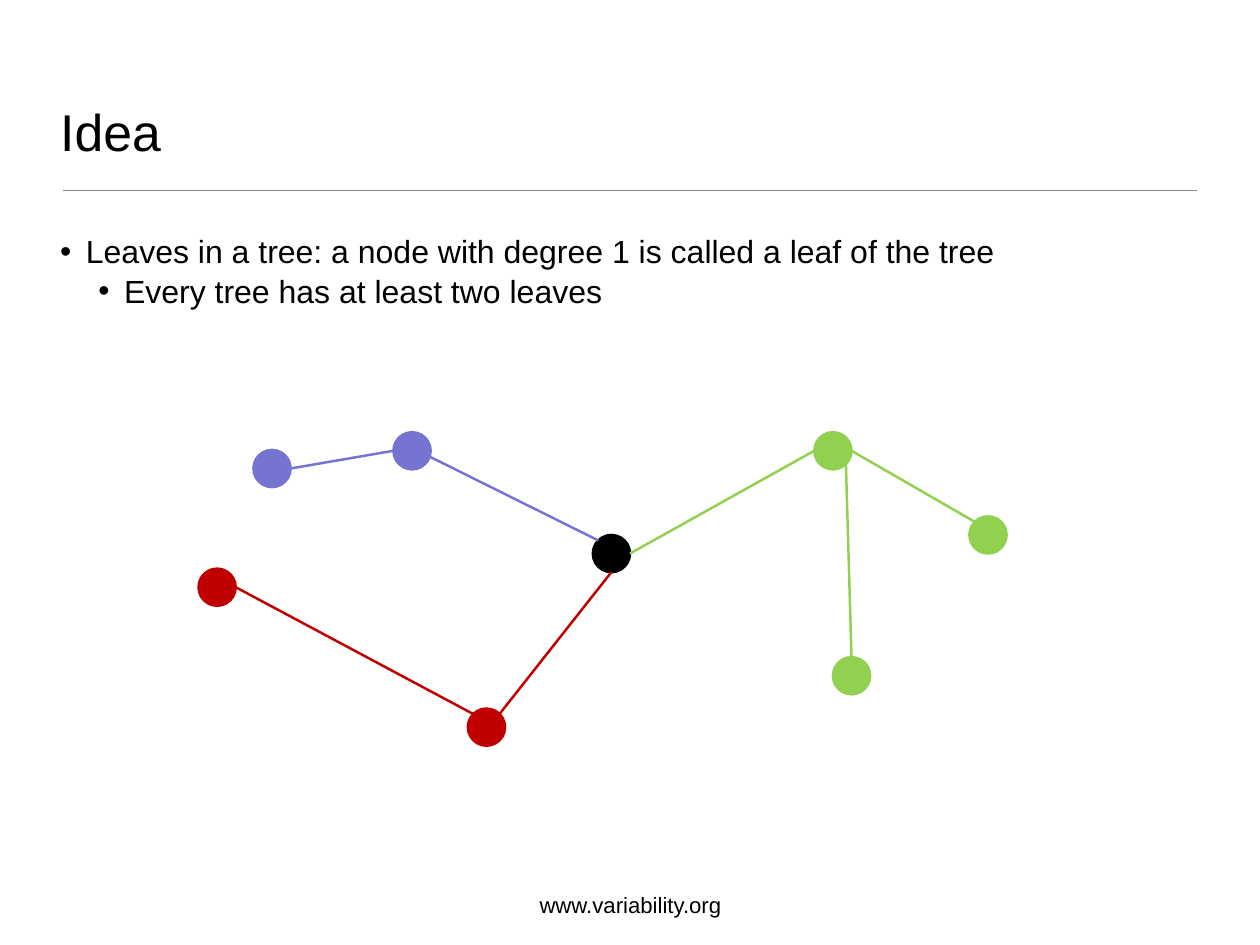
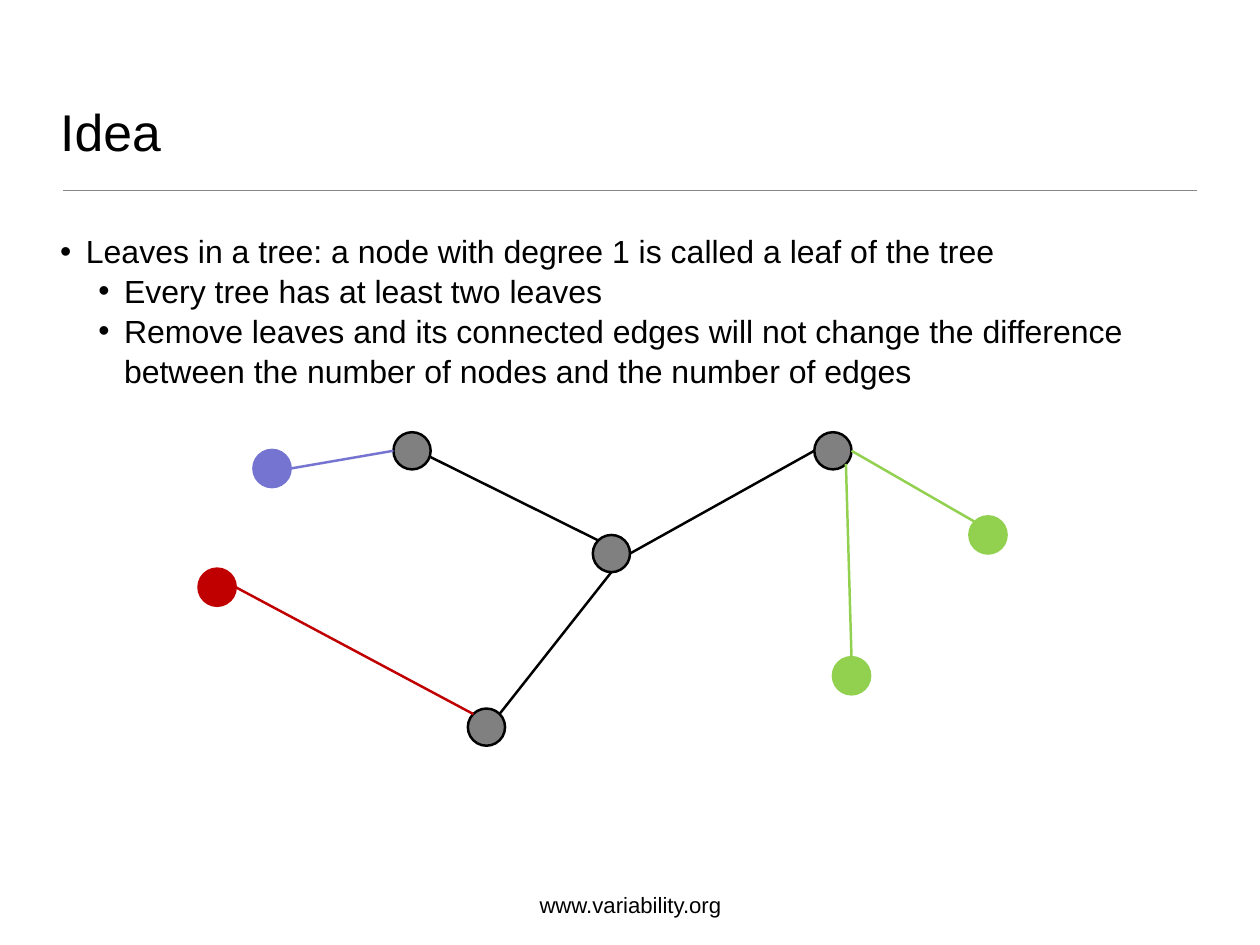
from lxml import etree
from pptx import Presentation
from pptx.dml.color import RGBColor
from pptx.enum import shapes, text
from pptx.oxml.ns import qn
from pptx.util import Inches, Pt

FONT = "Arial"
BLACK, GREY, RULE_GREY = "000000", "808080", "888888"
BLUE, RED, GREEN = "7575D1", "C00000", "92D050"

TITLE = "Idea"
FOOTER = "www.variability.org"
# (outline level, text)
POINTS = [
    (0, "Leaves in a tree: a node with degree 1 is called a leaf of the tree"),
    (1, "Every tree has at least two leaves"),
    (1, "Remove leaves and its connected edges will not change the difference "
        "between the number of nodes and the number of edges"),
]
# (number of points shown, whether only the leaves keep their colour)
SLIDES = [(2, False), (3, True)]

DIAMETER = 0.42
# node: (left, top, branch colour)
NODES = {
    "blue leaf": (2.86, 5.08, BLUE),
    "blue fork": (4.44, 4.88, BLUE),
    "red leaf": (2.24, 6.42, RED),
    "root": (6.69, 6.04, BLACK),
    "red fork": (5.28, 8.0, RED),
    "green fork": (9.19, 4.88, GREEN),
    "lower green leaf": (9.4, 7.42, GREEN),
    "right green leaf": (10.94, 5.83, GREEN),
}
# (outer node, its anchor, inner node, its anchor)
EDGES = [
    ("blue leaf", "right", "blue fork", "left"),
    ("blue fork", "lower right", "root", "top left"),
    ("red leaf", "right", "red fork", "top left"),
    ("red fork", "top right", "root", "bottom"),
    ("green fork", "left", "root", "right"),
    ("right green leaf", "top left", "green fork", "right"),
    ("lower green leaf", "top", "green fork", "bottom right"),
]
# anchors on a node's rim, as fractions of its diameter
ANCHORS = {
    "top": (0.5, 0), "bottom": (0.5, 1), "left": (0, 0.5), "right": (1, 0.5),
    "top left": (0.15, 0.15), "top right": (0.85, 0.15),
    "bottom right": (0.85, 0.85), "lower right": (1, 0.67),
}
INDENTS = [0.29, 0.72]
HANGING = 0.29


def rgb(color):
    return RGBColor.from_string(color)


def add_line(slide, start, end, color, width):
    line = slide.shapes.add_connector(
        shapes.MSO_CONNECTOR.STRAIGHT, *(Inches(v) for v in (*start, *end)))
    line.line.color.rgb = rgb(color)
    line.line.width = Pt(width)
    etree.SubElement(line._element.spPr, qn("a:effectLst"))


def add_text_frame(slide, box, inset, anchor, wrap=True):
    frame = slide.shapes.add_textbox(*(Inches(v) for v in box)).text_frame
    frame.word_wrap = wrap
    frame.vertical_anchor = anchor
    frame.margin_left = frame.margin_right = Inches(inset)
    frame.margin_top = frame.margin_bottom = Inches(inset)
    return frame


def write(paragraph, words, size):
    paragraph.text = words
    for run in paragraph.runs:
        run.font.name = FONT
        run.font.size = Pt(size)
        run.font.color.rgb = rgb(BLACK)


def add_bullet(paragraph, level):
    paragraph.level = level
    properties = paragraph._p.get_or_add_pPr()
    properties.set("marL", str(Inches(INDENTS[level])))
    properties.set("indent", str(-Inches(HANGING)))
    bullet_color = etree.SubElement(properties, qn("a:buClr"))
    etree.SubElement(bullet_color, qn("a:srgbClr"), val=BLACK)
    etree.SubElement(properties, qn("a:buFont"), typeface=FONT)
    etree.SubElement(properties, qn("a:buChar"), char="•")


def add_frame(slide):
    """Add the rule, footer and title that every slide shares."""
    add_line(slide, (0.71, 2.15), (13.51, 2.15), RULE_GREY, 1)
    footer = add_text_frame(slide, (6.06, 9.96, 2.11, 0.4), 0,
                            text.MSO_ANCHOR.BOTTOM, wrap=False)
    write(footer.paragraphs[0], FOOTER, 18)
    footer.paragraphs[0].alignment = text.PP_ALIGN.CENTER
    title = add_text_frame(slide, (0.62, 0.36, 12.97, 1.53), 0.06,
                           text.MSO_ANCHOR.BOTTOM)
    write(title.paragraphs[0], TITLE, 42)


def add_points(slide, points):
    body = add_text_frame(slide, (0.62, 2.54, 12.97, 7.18), 0.06,
                          text.MSO_ANCHOR.TOP)
    for i, (level, words) in enumerate(points):
        paragraph = body.add_paragraph() if i else body.paragraphs[0]
        add_bullet(paragraph, level)
        paragraph.line_spacing = 1.04
        write(paragraph, words, 26)


def is_leaf(node):
    return sum(node in (outer, inner) for outer, _, inner, _ in EDGES) == 1


def anchor_point(node, anchor):
    left, top, _ = NODES[node]
    across, down = ANCHORS[anchor]
    return left + across * DIAMETER, top + down * DIAMETER


def add_tree(slide, only_leaves):
    """Draw the tree; with only_leaves, what remains without them is neutral."""
    for node, (left, top, color) in NODES.items():
        neutral = only_leaves and not is_leaf(node)
        dot = slide.shapes.add_shape(
            shapes.MSO_SHAPE.OVAL, Inches(left), Inches(top),
            Inches(DIAMETER), Inches(DIAMETER))
        dot.shadow.inherit = False
        dot.fill.solid()
        dot.fill.fore_color.rgb = rgb(GREY if neutral else color)
        dot.line.color.rgb = rgb(BLACK if neutral else color)
        dot.line.width = Pt(2)
    for outer, outer_anchor, inner, inner_anchor in EDGES:
        neutral = only_leaves and not is_leaf(outer)
        add_line(slide, anchor_point(outer, outer_anchor),
                 anchor_point(inner, inner_anchor),
                 BLACK if neutral else NODES[outer][2], 2)


def main():
    deck = Presentation()
    deck.slide_width, deck.slide_height = Inches(14.22), Inches(10.67)
    for point_count, only_leaves in SLIDES:
        slide = deck.slides.add_slide(deck.slide_layouts[6])
        add_frame(slide)
        add_points(slide, POINTS[:point_count])
        add_tree(slide, only_leaves)
    deck.save("out.pptx")


if __name__ == "__main__":
    main()
